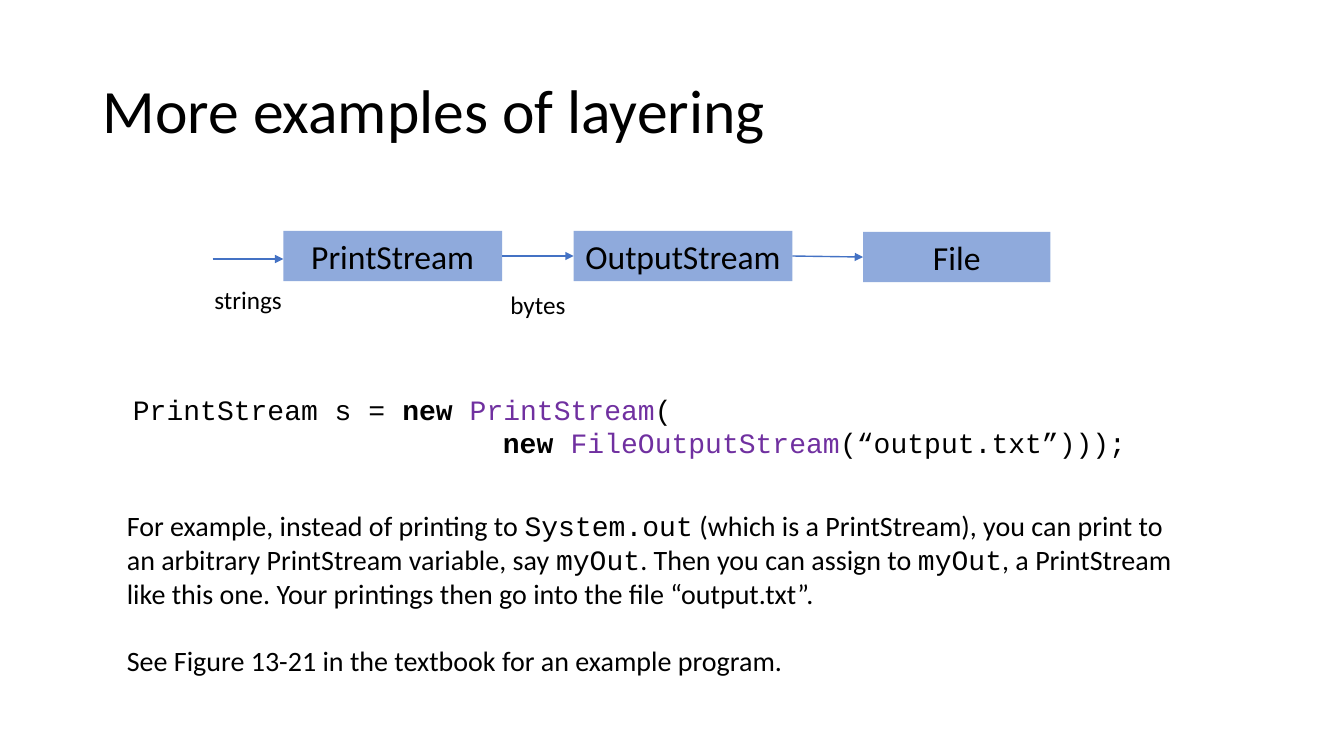
from lxml import etree
from pptx import Presentation
from pptx.dml.color import RGBColor
from pptx.enum.shapes import MSO_CONNECTOR, MSO_SHAPE
from pptx.enum.text import MSO_ANCHOR, PP_ALIGN
from pptx.oxml.ns import qn
from pptx.util import Pt

BLACK = RGBColor(0x00, 0x00, 0x00)
BLUE = RGBColor(0x44, 0x72, 0xC4)
PALE = RGBColor(0x8F, 0xAA, 0xDC)
PURPLE = RGBColor(0x70, 0x30, 0xA0)
RECT = MSO_SHAPE.RECTANGLE
LINE = MSO_CONNECTOR.STRAIGHT
TOP = MSO_ANCHOR.TOP
MIDDLE = MSO_ANCHOR.MIDDLE
LEFT = PP_ALIGN.LEFT
CENTER = PP_ALIGN.CENTER
SANS = "Calibri"
MONO = "Courier New"
SCALE = 9144


def px(*values):
    return [value * SCALE for value in values]


class Deck:
    def __init__(self, width, height):
        self.show = Presentation()
        self.show.slide_width, self.show.slide_height = px(width, height)
        self.slide = self.show.slides.add_slide(self.show.slide_layouts[6])

    def style(self, run, size, face=SANS, color=BLACK, bold=False):
        run.font.size = Pt(size)
        run.font.name = face
        run.font.color.rgb = color
        run.font.bold = bold

    def label(self, area, text, size, align=LEFT, anchor=TOP):
        box = self.slide.shapes.add_textbox(*px(*area))
        self.fill_text(box, text, size, align, anchor)
        return box.text_frame.paragraphs[0]

    def fill_text(self, shape, text, size, align, anchor):
        frame = shape.text_frame
        frame.word_wrap = True
        frame.vertical_anchor = anchor
        frame.text = text
        para = frame.paragraphs[0]
        para.alignment = align
        self.style(para.runs[0], size)

    def node(self, area, text):
        shape = self.slide.shapes.add_shape(RECT, *px(*area))
        shape.shadow.inherit = False
        shape.fill.solid()
        shape.fill.fore_color.rgb = PALE
        shape.line.fill.background()
        self.fill_text(shape, text, 24, CENTER, TOP)
        return shape

    def arrow(self, start, end):
        line = self.slide.shapes.add_connector(LINE, *px(*start, *end))
        line.line.color.rgb = BLUE
        line.line.width = Pt(1)
        tip = etree.SubElement(line.line._get_or_add_ln(), qn("a:tailEnd"))
        tip.set("type", "triangle")
        etree.SubElement(line._element.spPr, qn("a:effectLst"))
        return line

    def link(self, source, target):
        line = self.arrow((0, 0), (0, 0))
        line.begin_connect(source, 3)
        line.end_connect(target, 1)

    def rich(self, area, paras, size):
        frame = self.slide.shapes.add_textbox(*px(*area)).text_frame
        frame.word_wrap = True
        lines = [frame.paragraphs[0]]
        lines += [frame.add_paragraph() for _ in paras[1:]]
        for line, parts in zip(lines, paras):
            for text, look in parts:
                run = line.add_run()
                run.text = text
                self.style(run, size, **look)
        return lines


def main():
    deck = Deck(1333, 750)
    title = deck.label((92, 40, 1150, 145), "More examples of layering", 44, anchor=MIDDLE)
    title.line_spacing = 0.9

    code = {"face": MONO}
    key = {"face": MONO, "bold": True}
    name = {"face": MONO, "color": PURPLE}
    lines = deck.rich((122, 384, 1150, 77), [
        [("PrintStream s = ", code), ("new ", key), ("PrintStream", name), ("(", code)],
        [("                   new ", key), ("FileOutputStream", name),
         ("(“output.txt”)));", code)],
    ], 20)
    lines[1].level = 1

    nodes = [deck.node(area, text) for area, text in (
        ((281, 229, 217, 50), "PrintStream"),
        ((569, 229, 217, 50), "OutputStream"),
        ((856, 230, 186, 50), "File"),
    )]
    for source, target in zip(nodes, nodes[1:]):
        deck.link(source, target)
    deck.arrow((211, 257), (281, 257))
    deck.label((484, 282, 99, 40), "bytes", 18, CENTER)
    deck.label((157, 277, 178, 40), "strings", 18, CENTER)

    body = {}
    notes = deck.rich((116, 500, 1057, 178), [
        [("For example, instead of printing to ", body), ("System.out", code),
         (" (which is a PrintStream), you can print to an arbitrary "
          "PrintStream variable, say ", body),
         ("myOut", code), (". Then you can assign to ", body), ("myOut", code),
         (", a PrintStream like this one. Your printings then go into "
          "the file “output.txt”.", body)],
        [("See Figure 13-21 in the textbook for an example program.", body)],
    ], 20)
    notes[1].space_before = Pt(24)
    deck.show.save("out.pptx")


if __name__ == "__main__":
    main()
